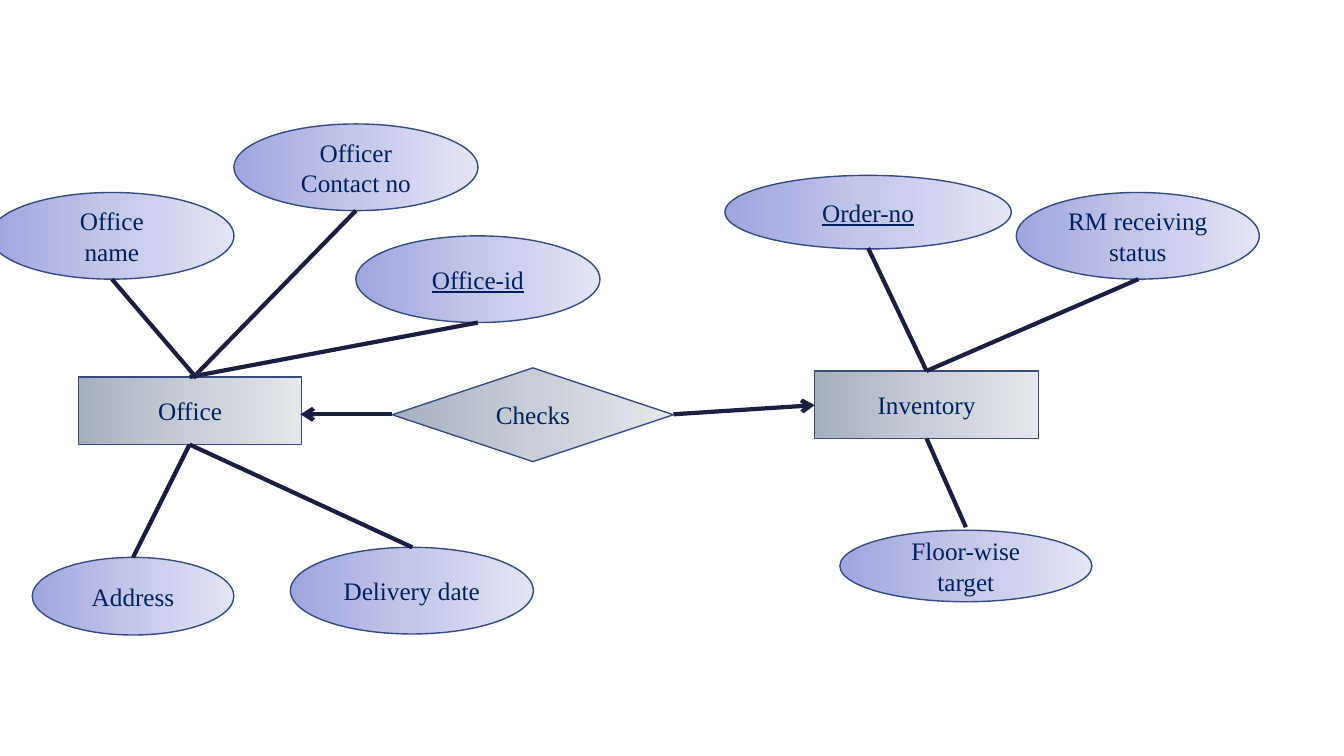
from copy import deepcopy
from dataclasses import dataclass

from lxml import etree
from pptx import Presentation
from pptx import util as u
from pptx.dml.color import RGBColor
from pptx.enum import shapes, text
from pptx.oxml.ns import qn

EMU_PER_PX = 9144  # 100 px to the inch


@dataclass(frozen=True)
class Theme:
    font: str = "Times New Roman"
    size: int = 18
    ink: str = "002060"
    outline: str = "374B7F"
    outline_width: int = 1
    link: str = "1B1E3E"
    link_width: int = 3
    grey: tuple[str, ...] = ("A6AFBF", "C9CDD7", "E4E7EB")
    violet: tuple[str, ...] = ("A0A4DF", "C5C7EA", "E3E4F4")


@dataclass(frozen=True)
class Node:
    label: str  # \n starts a paragraph, \v breaks a line
    left: int
    top: int
    width: int
    height: int
    kind: shapes.MSO_SHAPE = shapes.MSO_SHAPE.OVAL
    key: bool = False


@dataclass(frozen=True)
class Link:
    start: tuple[int, int]
    end: tuple[int, int]
    arrow: bool = False


THEME = Theme()
ENTITY = shapes.MSO_SHAPE.FLOWCHART_PROCESS
RELATION = shapes.MSO_SHAPE.FLOWCHART_DECISION

NODES = [
    # Entities and their relationship
    Node("Office", 78, 374, 221, 67, ENTITY),
    Node("Checks", 389, 365, 279, 93, RELATION),
    Node("Inventory", 808, 368, 222, 67, ENTITY),
    # Attributes of the office
    Node("Office\nname", -10, 191, 242, 86),
    Node("Officer\nContact no", 232, 123, 242, 86),
    Node("Office-id", 353, 234, 242, 86, key=True),
    Node("Address", 32, 553, 200, 77),
    Node("Delivery date", 288, 543, 241, 86),
    # Attributes of the inventory
    Node("Order-no", 719, 174, 284, 73, key=True),
    Node("RM receiving\nstatus", 1008, 191, 241, 86),
    Node("Floor-wise\vtarget", 833, 526, 250, 71),
]

OFFICE_BOTTOM = (188, 441)
INVENTORY_TOP = (919, 368)
LINKS = [
    # Attributes to the office
    Link((111, 277), (195, 375)),
    Link((353, 209), (195, 371)),
    Link((474, 320), (188, 374)),
    Link((132, 553), OFFICE_BOTTOM),
    Link((409, 543), OFFICE_BOTTOM),
    # Attributes to the inventory
    Link((861, 246), INVENTORY_TOP),
    Link((1129, 277), INVENTORY_TOP),
    Link((958, 523), (919, 435)),
    # Relationship to both entities
    Link((389, 411), (298, 411), arrow=True),
    Link((668, 411), (808, 402), arrow=True),
]


def px(value: int) -> u.Emu:
    return u.Emu(value * EMU_PER_PX)


def rgb(colour: str) -> RGBColor:
    return RGBColor.from_string(colour)


def write(box, label: str, *, size: int, colour: str, underline: bool = False) -> None:
    frame = box.text_frame
    frame.text = label
    frame.word_wrap = True
    frame.vertical_anchor = text.MSO_ANCHOR.MIDDLE
    for para in frame.paragraphs:
        para.alignment = text.PP_ALIGN.CENTER
        for span in para.runs:
            span.font.name = THEME.font
            span.font.size = u.Pt(size)
            span.font.color.rgb = rgb(colour)
            if underline:
                span.font.underline = True


def fill_gradient(box, colours: tuple[str, ...]) -> None:
    box.fill.gradient()
    box.fill.gradient_angle = 0
    stop_list = box.element.spPr.find(".//" + qn("a:gsLst"))
    while len(stop_list) < len(colours):
        stop_list.append(deepcopy(stop_list[0]))
    for index, (stop, colour) in enumerate(zip(box.fill.gradient_stops, colours)):
        stop.color.rgb = rgb(colour)
        stop.position = index / (len(colours) - 1)


def draw_node(page, node: Node) -> None:
    frame = map(px, (node.left, node.top, node.width, node.height))
    box = page.shapes.add_shape(node.kind, *frame)
    box.shadow.inherit = False
    is_attribute = node.kind == shapes.MSO_SHAPE.OVAL
    fill_gradient(box, THEME.violet if is_attribute else THEME.grey)
    box.line.color.rgb = rgb(THEME.outline)
    box.line.width = u.Pt(THEME.outline_width)
    write(box, node.label, size=THEME.size, colour=THEME.ink, underline=node.key)


def draw_link(page, link: Link) -> None:
    ends = map(px, link.start + link.end)
    line = page.shapes.add_connector(shapes.MSO_CONNECTOR.STRAIGHT, *ends)
    line.line.color.rgb = rgb(THEME.link)
    line.line.width = u.Pt(THEME.link_width)
    properties = line.element.spPr
    if link.arrow:
        etree.SubElement(properties.find(qn("a:ln")), qn("a:tailEnd"), type="arrow")
    etree.SubElement(properties, qn("a:effectLst"))


def main() -> None:
    deck = Presentation()
    deck.slide_width, deck.slide_height = px(1333), px(750)
    page = deck.slides.add_slide(deck.slide_layouts[6])
    for node in NODES:
        draw_node(page, node)
    for link in LINKS:
        draw_link(page, link)
    deck.save("out.pptx")


if __name__ == "__main__":
    main()
